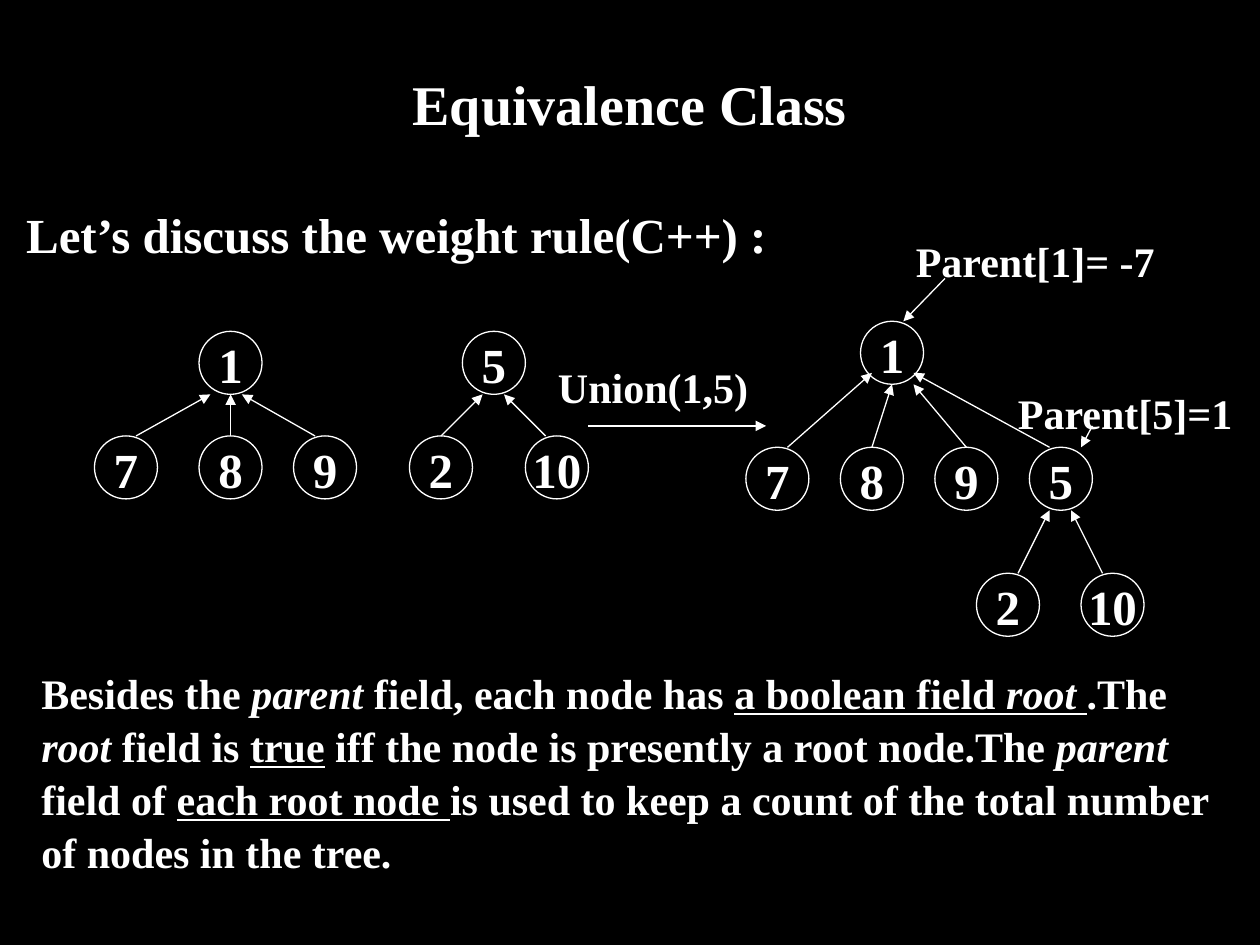
from dataclasses import dataclass

from lxml.etree import SubElement
from pptx import Presentation
from pptx.dml.color import RGBColor
from pptx.enum.shapes import MSO_CONNECTOR, MSO_SHAPE
from pptx.enum.text import MSO_ANCHOR, PP_ALIGN
from pptx.oxml.ns import qn
from pptx.slide import Slide
from pptx.text.text import TextFrame
from pptx.util import Inches, Pt

COLORS = {"background": "000000", "ink": "FFFFFF"}
FONT_NAME = "Times New Roman"
LINE_SPACING = 1.05
NODE_SIZE = 0.5


@dataclass(frozen=True)
class Span:
    text: str
    italic: bool = False
    underline: bool = False


@dataclass(frozen=True)
class Label:
    spans: tuple[Span, ...]
    left: float
    top: float
    width: float
    height: float
    size: int = 24
    align: PP_ALIGN = PP_ALIGN.LEFT
    anchor: MSO_ANCHOR = MSO_ANCHOR.TOP


@dataclass(frozen=True)
class NodeRow:
    top: float
    nodes: tuple[tuple[str, float], ...]


@dataclass(frozen=True)
class ArrowRow:
    start_y: float
    end_y: float
    columns: tuple[tuple[float, float], ...]


LABELS = (
    Label((Span("Equivalence Class"),), 0.75, 0.39, 8.5, 0.83, 32,
          PP_ALIGN.CENTER, MSO_ANCHOR.MIDDLE),
    Label((Span("Let’s discuss the weight rule(C++) :"),), 0.11, 1.55, 9.8, 0.6, 28),
    Label((Span("Parent[5]=1"),), 7.98, 3.01, 2.25, 0.5),
    Label((Span("Parent[1]= -7"),), 7.17, 1.8, 2.11, 0.5),
    Label((Span("Union(1,5)"),), 4.33, 2.8, 2, 0.5),
    Label(
        (
            Span("Besides the "),
            Span("parent", italic=True),
            Span(" field, each node has "),
            Span("a boolean field ", underline=True),
            Span("root ", italic=True, underline=True),
            Span(".The "),
            Span("root", italic=True),
            Span(" field is "),
            Span("true", underline=True),
            Span(" iff the node is presently a root node.The "),
            Span("parent", italic=True),
            Span(" field of "),
            Span("each root node ", underline=True),
            Span("is used to keep a count of the total number of nodes in the tree."),
        ),
        0.23, 5.23, 9.53, 1.7,
    ),
)

NODE_ROWS = (
    NodeRow(2.63, (("1", 1.58), ("5", 3.67))),
    NodeRow(3.46, (("7", 0.75), ("8", 1.58), ("9", 2.33), ("2", 3.25), ("10", 4.17))),
    NodeRow(2.55, (("1", 6.83),)),
    NodeRow(3.55, (("7", 5.92), ("8", 6.67), ("9", 7.42), ("5", 8.17))),
    NodeRow(4.55, (("2", 7.75), ("10", 8.58))),
)

ARROW_ROWS = (
    ArrowRow(3.46, 3.13, ((1.08, 1.67), (1.83, 1.83), (2.5, 1.92), (3.5, 3.83), (4.33, 4))),
    ArrowRow(3.55, 2.96, ((6.25, 6.92), (8.33, 7.25))),
    ArrowRow(3.55, 3.05, ((6.92, 7.08), (7.67, 7.25))),
    ArrowRow(4.55, 4.05, ((8.08, 8.33), (8.75, 8.5))),
    ArrowRow(2.21, 2.55, ((7.5, 7.17),)),
    ArrowRow(3.38, 3.38, ((4.67, 6.08),)),
    ArrowRow(3.38, 3.55, ((8.67, 8.58),)),
)


def color(name: str) -> RGBColor:
    return RGBColor.from_string(COLORS[name])


def write_text(frame: TextFrame, spans: tuple[Span, ...], size: int,
               align: PP_ALIGN, anchor: MSO_ANCHOR) -> None:
    frame.vertical_anchor = anchor
    para = frame.paragraphs[0]
    para.alignment = align
    para.line_spacing = LINE_SPACING
    para.font.name = FONT_NAME
    para.font.size = Pt(size)
    para.font.bold = True
    para.font.color.rgb = color("ink")
    for span in spans:
        run = para.add_run()
        run.text = span.text
        if span.italic:
            run.font.italic = True
        if span.underline:
            run.font.underline = True


def add_label(page: Slide, label: Label) -> None:
    box = page.shapes.add_textbox(Inches(label.left), Inches(label.top),
                                  Inches(label.width), Inches(label.height))
    box.text_frame.word_wrap = True
    write_text(box.text_frame, label.spans, label.size, label.align, label.anchor)


def add_node(page: Slide, text: str, left: float, top: float) -> None:
    node = page.shapes.add_shape(MSO_SHAPE.OVAL, Inches(left), Inches(top),
                                 Inches(NODE_SIZE), Inches(NODE_SIZE))
    node.shadow.inherit = False
    node.fill.background()
    node.line.color.rgb = color("ink")
    node.line.width = Pt(0.75)
    node.text_frame.word_wrap = False
    write_text(node.text_frame, (Span(text),), 28, PP_ALIGN.CENTER, MSO_ANCHOR.MIDDLE)


def add_arrow(page: Slide, start_x: float, start_y: float,
              end_x: float, end_y: float) -> None:
    arrow = page.shapes.add_connector(MSO_CONNECTOR.STRAIGHT, Inches(start_x),
                                      Inches(start_y), Inches(end_x), Inches(end_y))
    arrow.line.color.rgb = color("ink")
    arrow.line.width = Pt(0.75)
    properties = arrow.element.spPr
    SubElement(properties.find(qn("a:ln")), qn("a:tailEnd"), type="triangle")
    SubElement(properties, qn("a:effectLst"))


def main() -> None:
    deck = Presentation()
    deck.slide_width = Inches(10)
    deck.slide_height = Inches(7.5)
    page = deck.slides.add_slide(deck.slide_layouts[6])
    page.background.fill.solid()
    page.background.fill.fore_color.rgb = color("background")

    for label in LABELS:
        add_label(page, label)
    for row in NODE_ROWS:
        for text, left in row.nodes:
            add_node(page, text, left, row.top)
    for row in ARROW_ROWS:
        for start_x, end_x in row.columns:
            add_arrow(page, start_x, row.start_y, end_x, row.end_y)

    deck.save("out.pptx")


if __name__ == "__main__":
    main()
